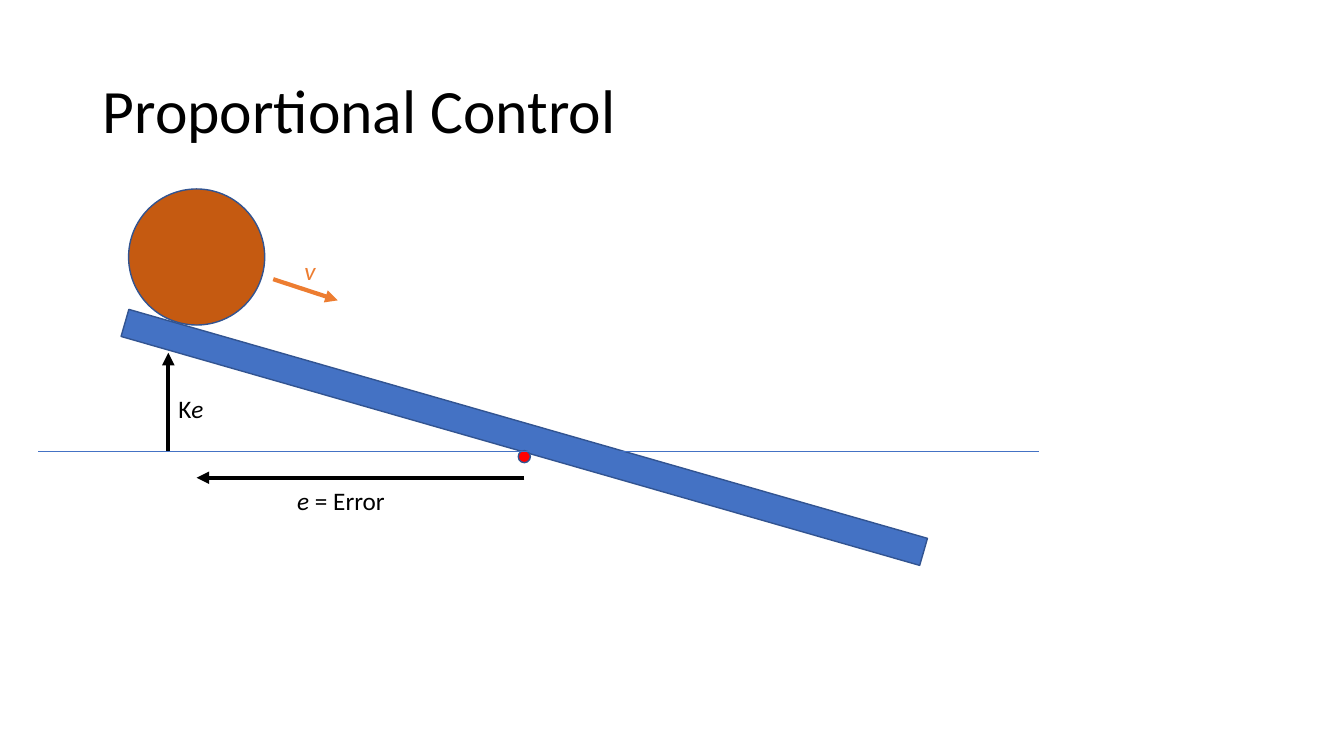
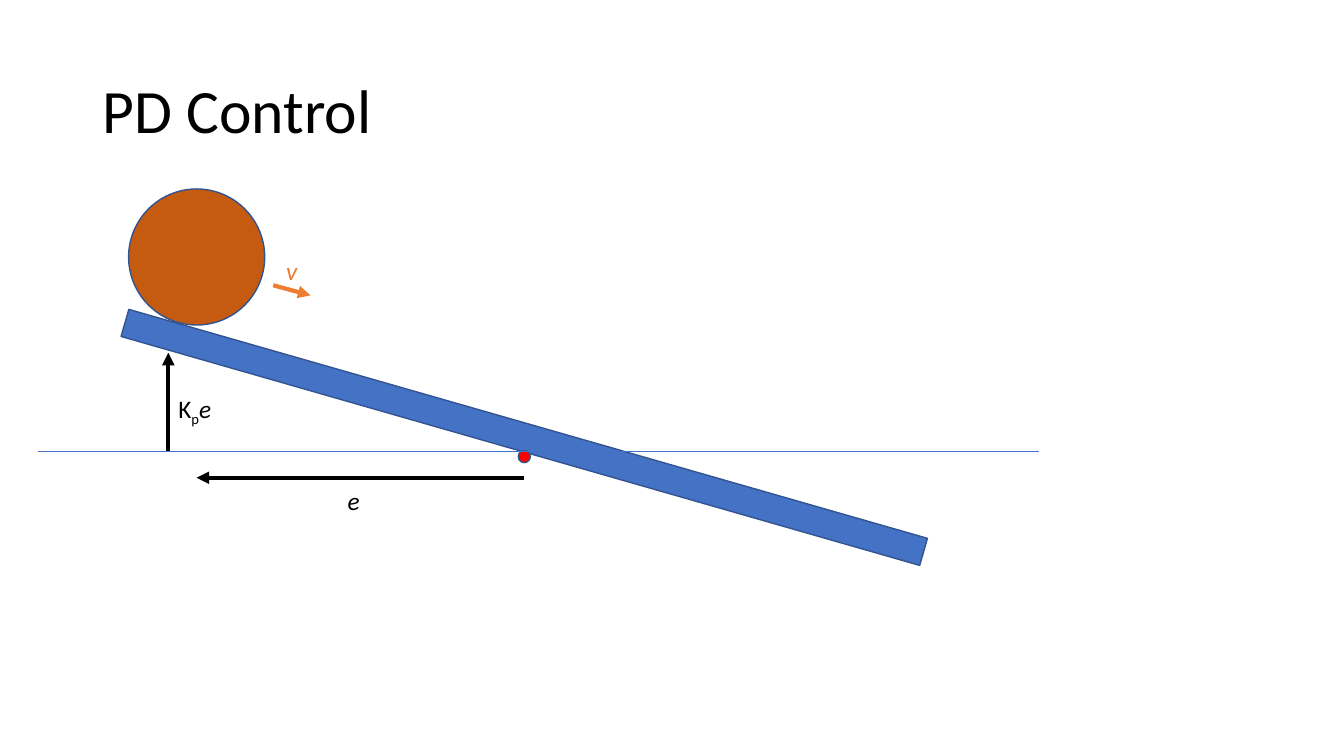
from dataclasses import dataclass

from pptx import Presentation
from pptx.dml.color import RGBColor
from pptx.enum.shapes import MSO_CONNECTOR, MSO_SHAPE
from pptx.enum.text import MSO_ANCHOR, MSO_AUTO_SIZE, PP_ALIGN
from pptx.oxml.ns import qn
from pptx.util import Inches, Pt
from lxml.etree import SubElement


@dataclass(frozen=True)
class Theme:
    font: str = "Calibri"
    title_size: int = 44
    label_size: int = 18
    ink: str = "000000"
    beam: str = "4472C4"
    outline: str = "325491"
    ball: str = "C55A11"
    pivot: str = "FF0000"
    velocity: str = "ED7D31"
    outline_width: float = 1
    arrow_width: float = 3
    level_width: float = 0.5


THEME = Theme()
PLAIN, ITALIC, SUBSCRIPT = "plain", "italic", "subscript"

# Content: label runs are (text, style); velocity is (start, end) in inches
SLIDES = [
    {
        "title": "Proportional Control",
        "error": [("e ", ITALIC), ("= Error", PLAIN)],
        "error_left": 2.85,
        "gain": [("K", PLAIN), ("e", ITALIC)],
        "gain_width": 0.47,
        "velocity": ((2.71, 2.77), (3.35, 2.98)),
        "velocity_left": 2.92,
    },
    {
        "title": "PD Control",
        "error": [("e", ITALIC)],
        "error_left": 3.35,
        "gain": [("K", PLAIN), ("p", SUBSCRIPT), ("e", ITALIC)],
        "gain_width": 0.62,
        "velocity": ((2.71, 2.83), (3.08, 2.93)),
        "velocity_left": 2.74,
    },
]

# Geometry shared by both diagrams, in inches
TITLE_BOX = (0.92, 0.4, 11.5, 1.45)
PIVOT_X, LEVEL_Y = 5.2, 4.48
BALL_X, BALL_Y = 1.95, 2.55
BALL_SIZE, PIVOT_SIZE = 1.35, 0.12
BEAM_LENGTH, BEAM_THICKNESS, BEAM_ANGLE = 8.24, 0.28, 16
BEAM_Y = 4.34
LEVEL_LEFT, LEVEL_RIGHT = 0.38, 10.31
ERROR_Y = 4.74
GAIN_X, GAIN_TOP = 1.67, 3.5
LABEL_HEIGHT = 0.4


def color(value):
    return RGBColor.from_string(value)


def add_runs(paragraph, runs, size, ink):
    for text, style in runs:
        run = paragraph.add_run()
        run.text = text
        run.font.name = THEME.font
        run.font.size = Pt(size)
        run.font.color.rgb = color(ink)
        run.font.italic = style == ITALIC
        if style == SUBSCRIPT:
            run._r.get_or_add_rPr().set("baseline", "-25000")


def add_title(slide, text):
    title = slide.shapes.title
    title.left, title.top, title.width, title.height = map(Inches, TITLE_BOX)
    frame = title.text_frame
    frame.auto_size = MSO_AUTO_SIZE.NONE
    frame.vertical_anchor = MSO_ANCHOR.MIDDLE
    paragraph = frame.paragraphs[0]
    paragraph.alignment = PP_ALIGN.LEFT
    paragraph.line_spacing = 0.9
    add_runs(paragraph, [(text, PLAIN)], THEME.title_size, THEME.ink)


def add_centered(slide, kind, center_x, center_y, width, height, fill, angle=0):
    shape = slide.shapes.add_shape(
        kind, Inches(center_x - width / 2), Inches(center_y - height / 2),
        Inches(width), Inches(height))
    shape.rotation = angle
    shape.shadow.inherit = False
    shape.fill.solid()
    shape.fill.fore_color.rgb = color(fill)
    shape.line.color.rgb = color(THEME.outline)
    shape.line.width = Pt(THEME.outline_width)


def add_line(slide, start, end, ink, width, arrow=True):
    connector = slide.shapes.add_connector(
        MSO_CONNECTOR.STRAIGHT, *map(Inches, (*start, *end)))
    connector.line.color.rgb = color(ink)
    connector.line.width = Pt(width)
    if arrow:
        SubElement(connector.line._get_or_add_ln(), qn("a:tailEnd"), type="triangle")
    SubElement(connector._element.spPr, qn("a:effectLst"))


def add_label(slide, runs, left, top, width, ink=THEME.ink, wrap=True):
    box = slide.shapes.add_textbox(*map(Inches, (left, top, width, LABEL_HEIGHT)))
    frame = box.text_frame
    frame.word_wrap = wrap
    frame.auto_size = MSO_AUTO_SIZE.SHAPE_TO_FIT_TEXT
    add_runs(frame.paragraphs[0], runs, THEME.label_size, ink)


def build_slide(presentation, content):
    slide = presentation.slides.add_slide(presentation.slide_layouts[5])
    add_title(slide, content["title"])

    # Beam, ball and pivot
    add_centered(slide, MSO_SHAPE.RECTANGLE, PIVOT_X, BEAM_Y,
                 BEAM_LENGTH, BEAM_THICKNESS, THEME.beam, BEAM_ANGLE)
    add_centered(slide, MSO_SHAPE.OVAL, BALL_X, BALL_Y,
                 BALL_SIZE, BALL_SIZE, THEME.ball)
    add_centered(slide, MSO_SHAPE.OVAL, PIVOT_X, LEVEL_Y + 0.05,
                 PIVOT_SIZE, PIVOT_SIZE, THEME.pivot)

    # Error, from the pivot to below the ball
    add_line(slide, (PIVOT_X, ERROR_Y), (BALL_X, ERROR_Y),
             THEME.ink, THEME.arrow_width)
    add_label(slide, content["error"], content["error_left"], ERROR_Y + 0.03, 1.17)

    # Control response, from the level up to the beam
    add_line(slide, (GAIN_X, LEVEL_Y), (GAIN_X, GAIN_TOP),
             THEME.ink, THEME.arrow_width)
    add_label(slide, content["gain"], GAIN_X, 3.85, content["gain_width"])

    # Velocity and level line
    add_line(slide, *content["velocity"], THEME.velocity, THEME.arrow_width)
    add_line(slide, (LEVEL_LEFT, LEVEL_Y), (LEVEL_RIGHT, LEVEL_Y),
             THEME.beam, THEME.level_width, arrow=False)
    add_label(slide, [("v", ITALIC)], content["velocity_left"], 2.48, 0.31,
              THEME.velocity, wrap=False)


def main():
    presentation = Presentation()
    presentation.slide_width = Inches(13.33)
    presentation.slide_height = Inches(7.5)
    for content in SLIDES:
        build_slide(presentation, content)
    presentation.save("out.pptx")


if __name__ == "__main__":
    main()
